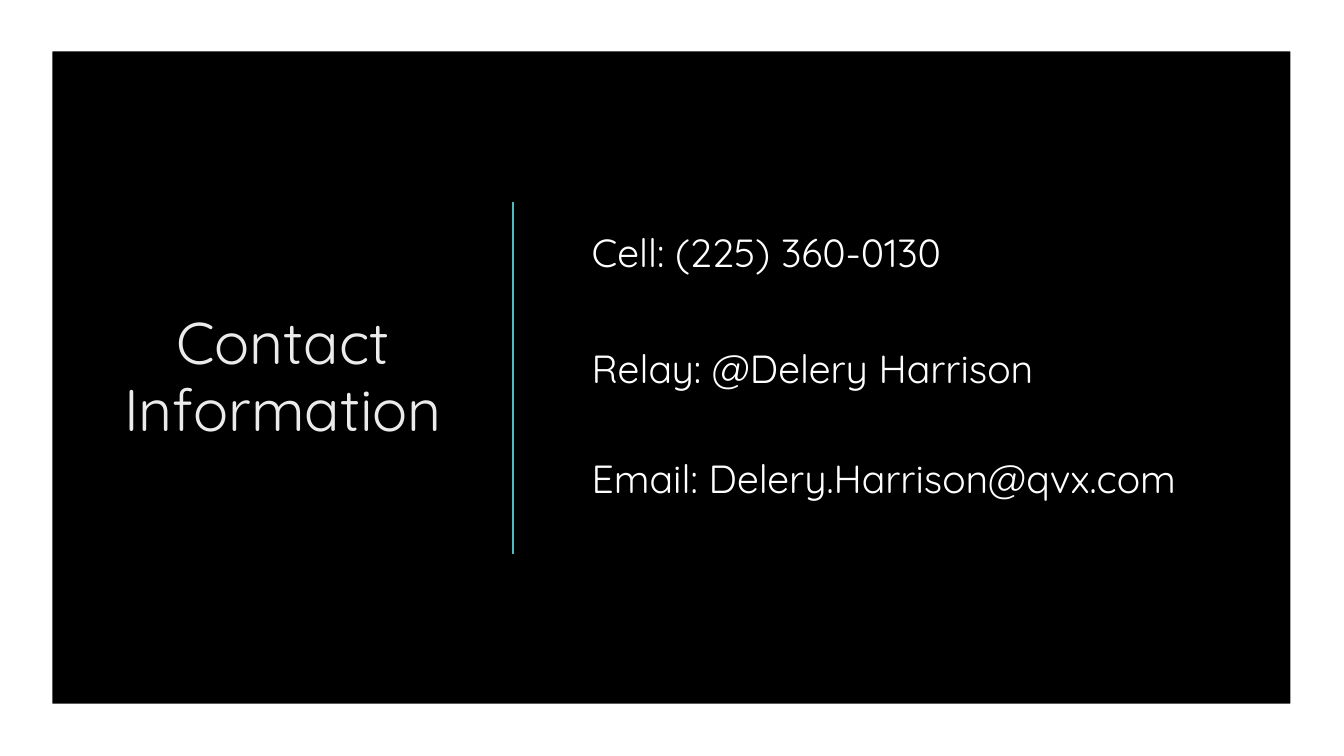
from lxml.etree import SubElement
from pptx import Presentation
from pptx.dml.color import RGBColor
from pptx.enum.shapes import MSO_CONNECTOR
from pptx.enum.text import MSO_ANCHOR, PP_ALIGN
from pptx.oxml.ns import qn
from pptx.util import Inches, Pt

WIDTH, HEIGHT = 13.33, 7.5
CONTACTS = [
    (2.22, 5.88, "Cell: (225) 360-0130"),
    (3.37, 5.88, "Relay: @Delery Harrison"),
    (4.46, 6.4, "Email:\u00a0Delery.Harrison@qvx.com"),
]


def color(value):
    return RGBColor.from_string(value)


def add_text(page, box, text, size, ink, frame_format, para_format):
    frame = page.shapes.add_textbox(*map(Inches, box)).text_frame
    for name, value in {"word_wrap": True, **frame_format}.items():
        setattr(frame, name, value)
    para = frame.paragraphs[0]
    para.text = text
    for name, value in para_format.items():
        setattr(para, name, value)
    for span in para.runs:
        for name, value in {"name": "Quicksand", "size": Pt(size)}.items():
            setattr(span.font, name, value)
        span.font.color.rgb = color(ink)


def add_border(page, box, margins):
    """Draw a white frame whose opening lies inside the given margins."""
    left, top, width, height = box
    inset_left, inset_top, inset_right, inset_bottom = margins
    right, bottom = left + width, top + height
    outer = [(left, top), (left, bottom), (right, bottom), (right, top)]
    near, far = left + inset_left, right - inset_right
    high, low = top + inset_top, bottom - inset_bottom
    inner = [(far, low), (near, low), (near, high), (far, high)]
    builder = page.shapes.build_freeform(Inches(left), Inches(top))
    for corners in (outer, inner):
        points = [(Inches(x), Inches(y)) for x, y in corners]
        builder.move_to(*points[0])
        builder.add_line_segments(points[1:], close=True)
    border = builder.convert_to_shape()
    border.shadow.inherit = False
    border.fill.solid()
    border.fill.fore_color.rgb = color("FFFFFF")
    border.line.fill.background()


def add_divider(page, x, top, bottom):
    divider = page.shapes.add_connector(
        MSO_CONNECTOR.STRAIGHT, *map(Inches, (x, top, x, bottom)))
    divider.line.color.rgb = color("50B9C1")
    divider.line.width = Pt(1.5)
    SubElement(divider._element.spPr, qn("a:effectLst"))


def add_contacts(page, left):
    for top, width, text in CONTACTS:
        add_text(page, (left, top, width, 0.57), text, 28, "FFFFFF", {}, {})


def build_contact_slide(deck):
    page = deck.slides.add_slide(deck.slide_layouts[6])
    page.background.fill.solid()
    page.background.fill.fore_color.rgb = color("000000")
    add_divider(page, 5.09, 2, 5.5)
    add_border(page, (0, 0, WIDTH, HEIGHT), (0.52, 0.51, 0.53, 0.52))
    add_text(page, (0.88, 0.88, 3.85, 5.74), "Contact\vInformation", 42, "EBEBEB",
             {"vertical_anchor": MSO_ANCHOR.MIDDLE},
             {"alignment": PP_ALIGN.CENTER, "line_spacing": 0.95})
    add_contacts(page, 5.77)


def main():
    deck = Presentation()
    deck.slide_width, deck.slide_height = Inches(WIDTH), Inches(HEIGHT)
    build_contact_slide(deck)
    deck.save("out.pptx")


if __name__ == "__main__":
    main()
